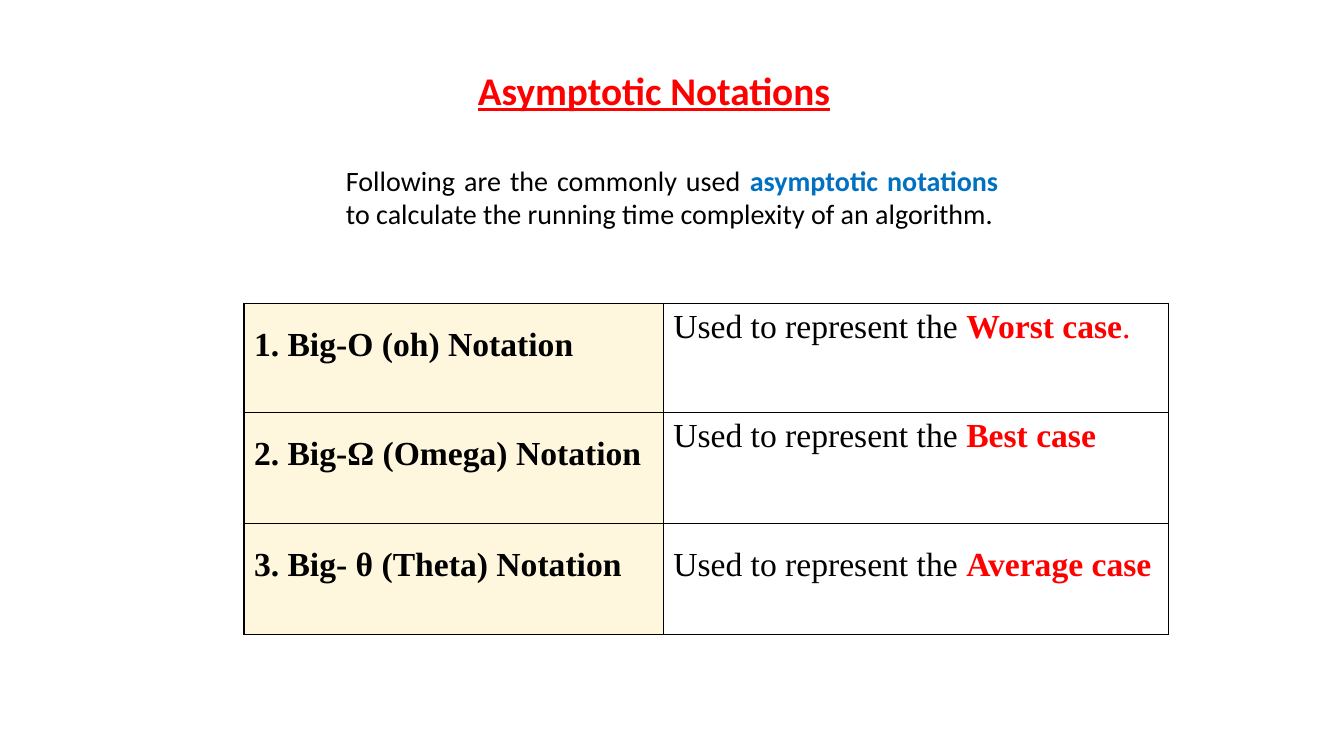
import pptx
import pptx.dml.color
import pptx.enum.text
import pptx.oxml
import pptx.oxml.ns
import pptx.util

ALIGN = pptx.enum.text.PP_ALIGN
BLACK, RED, BLUE, CREAM = "000000", "FF0000", "0070C0", "FEF7DE"


def color(hex_string):
    return pptx.dml.color.RGBColor.from_string(hex_string)


class SlideBuilder:
    heading_font = "Calibri"
    table_font = "Times New Roman"
    table_size = 24
    border_width = pptx.util.Pt(1)

    def __init__(self, presentation):
        self.width = presentation.slide_width
        self.height = presentation.slide_height
        self.slide = presentation.slides.add_slide(presentation.slide_layouts[6])

    def across(self, percent):
        return round(self.width * percent / 100)

    def down(self, percent):
        return round(self.height * percent / 100)

    def add_runs(self, paragraph, pieces, font_name, size):
        for text, hex_string, bold in pieces:
            run = paragraph.add_run()
            run.text = text
            run.font.name = font_name
            run.font.size = pptx.util.Pt(size)
            run.font.bold = bold
            run.font.color.rgb = color(hex_string)

    def text(self, left, top, width, height, pieces, size, alignment, underline=None):
        shape = self.slide.shapes.add_textbox(
            self.across(left), self.down(top), self.across(width), self.down(height))
        shape.text_frame.word_wrap = True
        paragraph = shape.text_frame.paragraphs[0]
        paragraph.alignment = alignment
        self.add_runs(paragraph, pieces, self.heading_font, size)
        for run in paragraph.runs:
            run.font.underline = underline

    def border(self, cell):
        properties = cell._tc.get_or_add_tcPr()
        for side in ("lnL", "lnR", "lnT", "lnB"):
            properties.append(pptx.oxml.parse_xml(
                f'<a:{side} {pptx.oxml.ns.nsdecls("a")} w="{self.border_width}">'
                f'<a:solidFill><a:srgbClr val="{BLACK}"/></a:solidFill></a:{side}>'))

    def cell(self, cell, pieces, spacing, fill):
        self.border(cell)
        if fill:
            cell.fill.solid()
            cell.fill.fore_color.rgb = color(fill)
        else:
            cell.fill.background()
        paragraph = cell.text_frame.paragraphs[0]
        paragraph.line_spacing = spacing
        self.add_runs(paragraph, pieces, self.table_font, self.table_size)

    def table(self, left, top, widths, heights, rows):
        table = self.slide.shapes.add_table(
            len(heights), len(widths), self.across(left), self.down(top),
            self.across(sum(widths)), self.down(sum(heights))).table
        table.first_row = False
        table.horz_banding = False
        for column, width in zip(table.columns, widths):
            column.width = self.across(width)
        for row, height in zip(table.rows, heights):
            row.height = self.down(height)
        for index, (notation, case, ending, spacing) in enumerate(rows):
            self.cell(table.cell(index, 0), [(notation, BLACK, True)], 1.5, CREAM)
            usage = [("Used to represent the ", BLACK, False), (case, RED, True)]
            if ending:
                usage.append((ending, RED, False))
            self.cell(table.cell(index, 1), usage, spacing, None)


def main():
    presentation = pptx.Presentation()
    presentation.slide_width = pptx.util.Inches(13.33)
    presentation.slide_height = pptx.util.Inches(7.5)
    builder = SlideBuilder(presentation)

    builder.text(23.65, 8.13, 50, 7.6, [("Asymptotic Notations", RED, True)],
                 28, ALIGN.CENTER, underline=True)
    builder.text(25, 20.93, 50, 10.27, [
        ("Following are the commonly used ", BLACK, False),
        ("asymptotic notations ", BLUE, True),
        ("to calculate the running time complexity of an algorithm.", BLACK, False),
    ], 20, ALIGN.JUSTIFY)
    builder.table(18.15, 40.13, (31.2, 37.6), (14.4, 14.7, 14.7), [
        ("1. Big-O (oh) Notation", "Worst case", ".", 1.0),
        ("2. Big-Ω (Omega) Notation", "Best case", "", 1.0),
        ("3. Big- θ (Theta) Notation", "Average case", "", 1.5),
    ])
    presentation.save("out.pptx")


if __name__ == "__main__":
    main()
